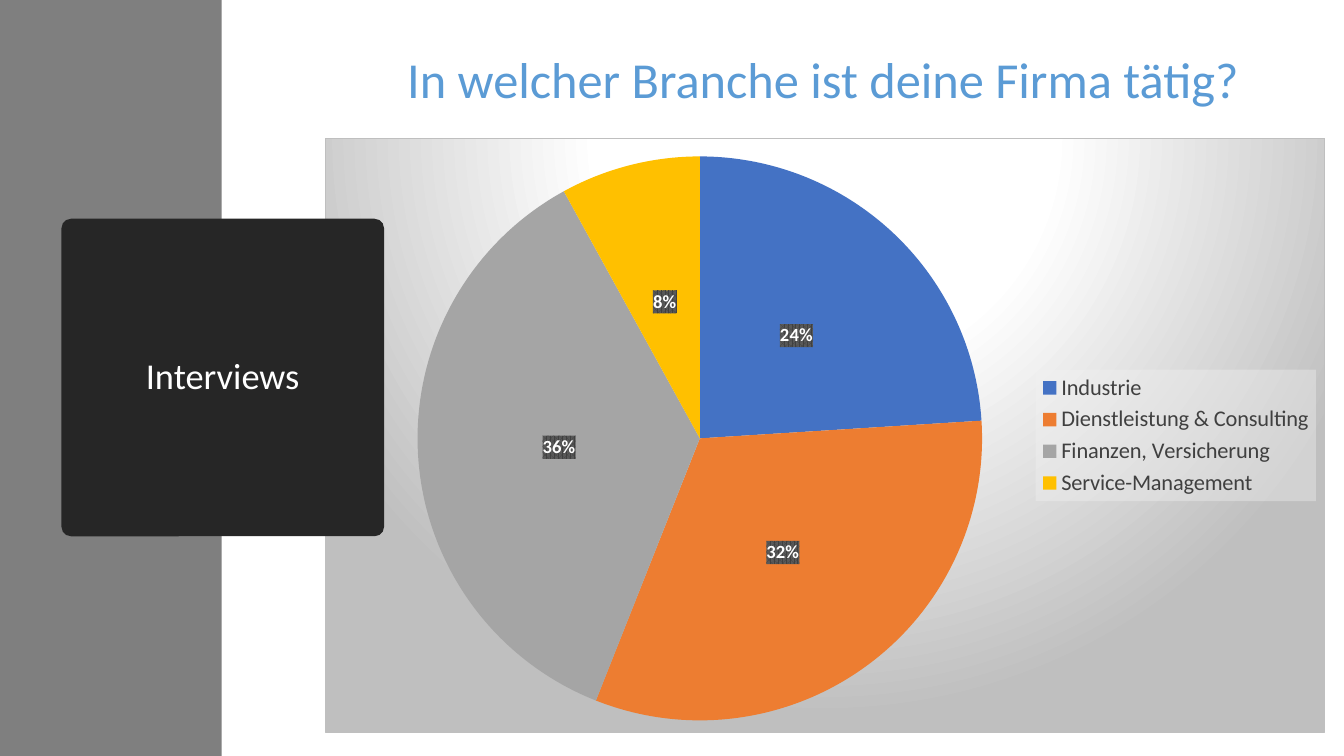
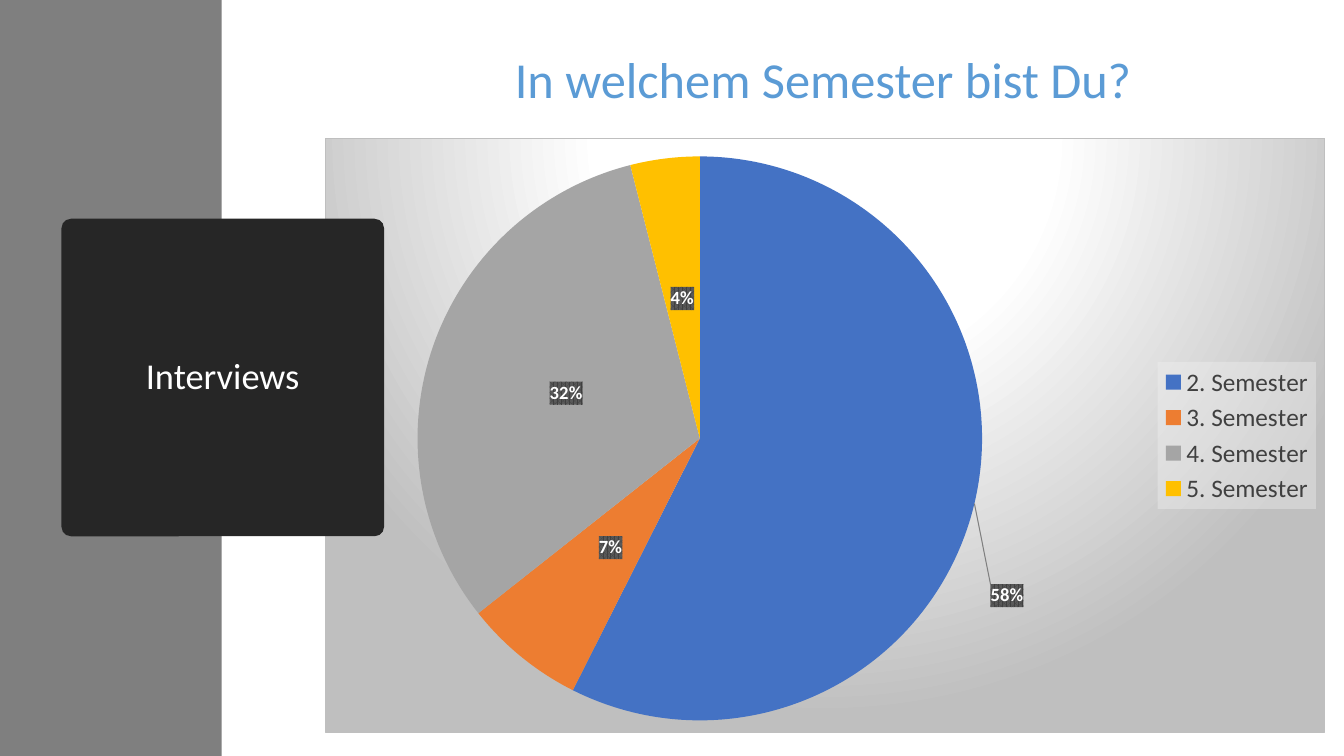
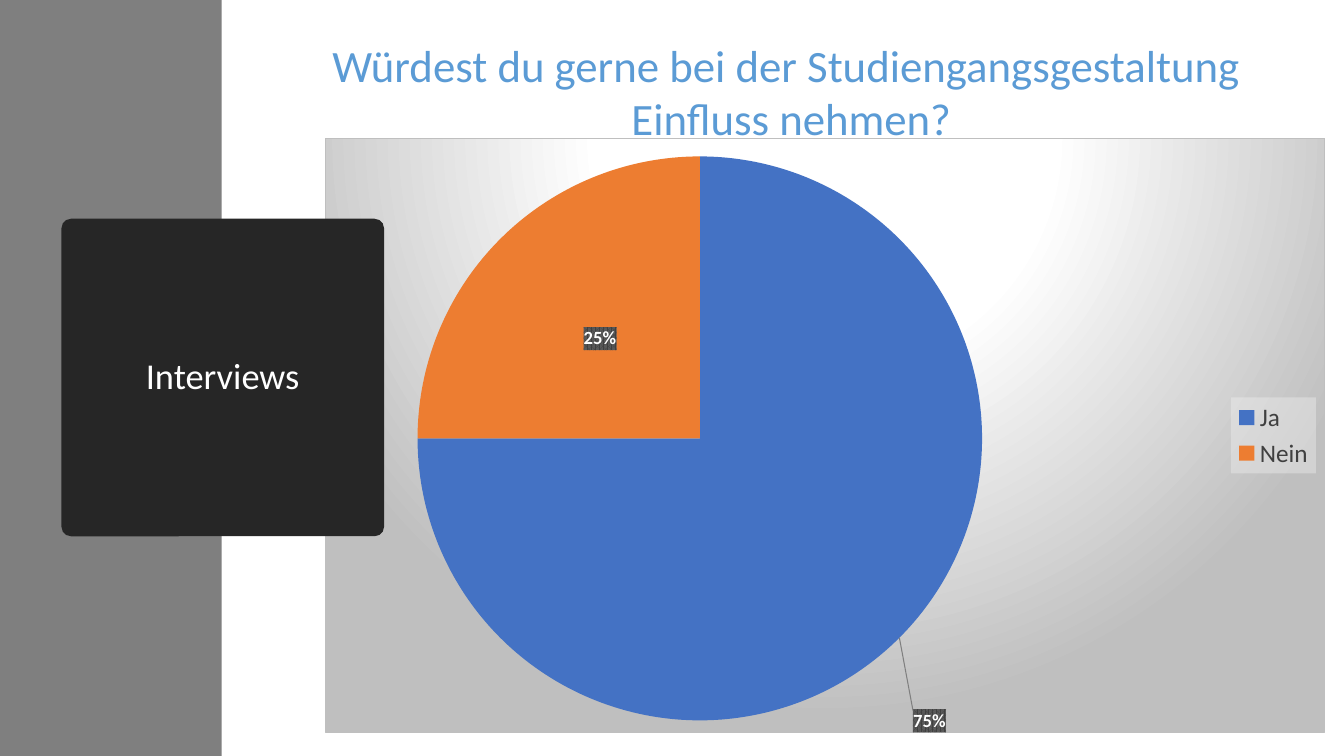
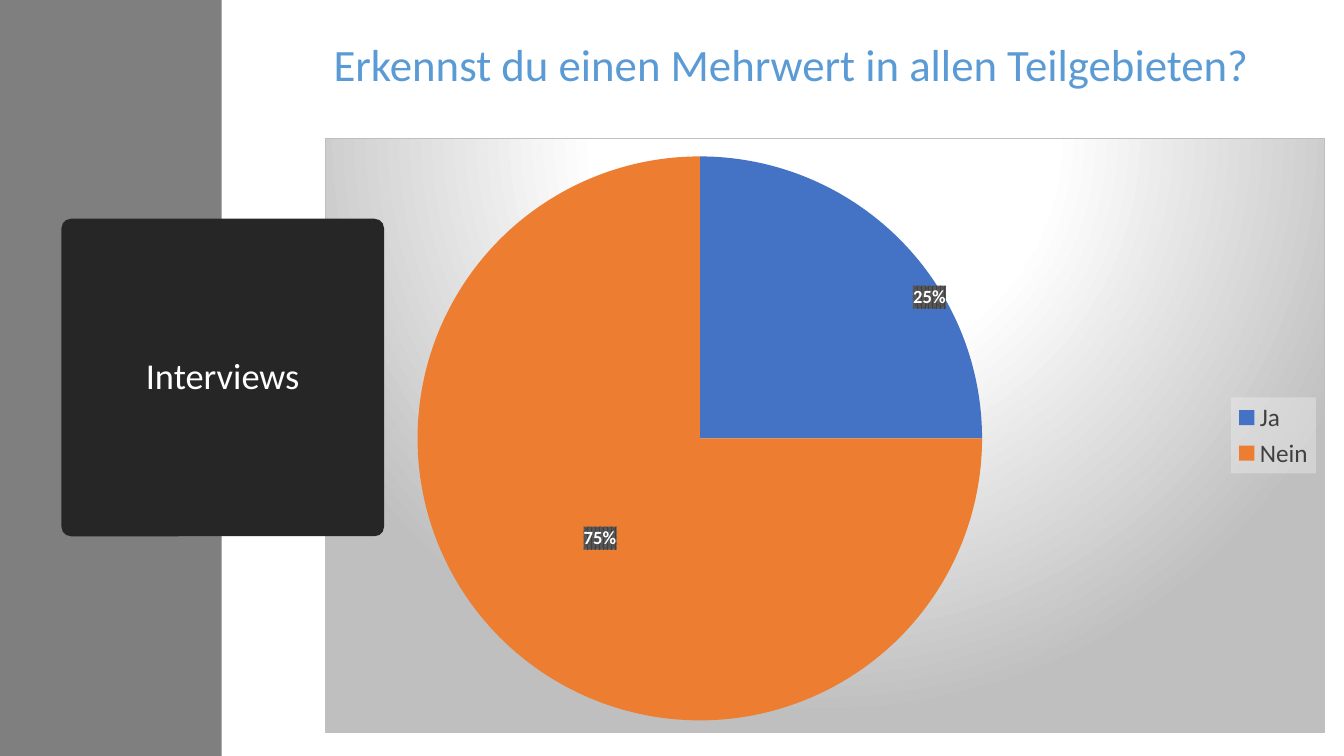
from copy import deepcopy

from pptx import Presentation
from pptx.chart.data import CategoryChartData
from pptx.dml.color import RGBColor
from pptx.enum.chart import XL_CHART_TYPE, XL_LABEL_POSITION, XL_LEGEND_POSITION
from pptx.enum.shapes import MSO_SHAPE
from pptx.enum.text import MSO_ANCHOR, PP_ALIGN
from pptx.oxml import parse_xml
from pptx.oxml.ns import nsdecls, qn
from pptx.util import Inches, Pt

PIE = XL_CHART_TYPE.PIE
LABEL_CENTER = XL_LABEL_POSITION.CENTER
LEGEND_RIGHT = XL_LEGEND_POSITION.RIGHT
RECTANGLE = MSO_SHAPE.RECTANGLE
ROUNDED = MSO_SHAPE.ROUNDED_RECTANGLE
MIDDLE = MSO_ANCHOR.MIDDLE
CENTER = PP_ALIGN.CENTER


class Theme:
    font = "Calibri"
    band = "7F7F7F"
    badge = "262626"
    white = "FFFFFF"
    title = "5B9BD5"
    text = "404040"
    chart_edge = "BFBFBF"
    legend = "F2F2F2"
    label_back = "595959"
    slices = ("4472C4", "ED7D31", "A5A5A5", "FFC000")
    badge_size = 26
    label_size = 13.3


# Content: label_shift moves the first label, in fractions of the chart
SECTION = "Interviews"
QUESTIONS = [
    {
        "title": ["In welcher Branche ist deine Firma tätig?"],
        "title_box": (3.9, 0.43, 8.53, 0.71), "title_size": 36,
        "answers": {"Industrie": 24, "Dienstleistung & Consulting": 32,
                    "Finanzen, Versicherung": 36, "Service-Management": 8},
        "legend_size": 16, "label_shift": None,
    },
    {
        "title": ["In welchem Semester bist Du?"],
        "title_box": (4.98, 0.43, 6.37, 0.71), "title_size": 36,
        "answers": {"2. Semester": 58, "3. Semester": 7,
                    "4. Semester": 32, "5. Semester": 4},
        "legend_size": 18, "label_shift": (0.17, 0.21),
    },
    {
        "title": ["Würdest du gerne bei der Studiengangsgestaltung ",
                  "Einfluss nehmen?"],
        "title_box": (2.55, 0.32, 10.6, 1.18), "title_size": 32,
        "answers": {"Ja": 75, "Nein": 25},
        "legend_size": 18, "label_shift": (0.13, 0.31),
    },
    {
        "title": ["Erkennst du einen Mehrwert in allen Teilgebieten?"],
        "title_box": (2.55, 0.32, 10.6, 0.64), "title_size": 32,
        "answers": {"Ja": 25, "Nein": 75},
        "legend_size": 18, "label_shift": (0.13, -0.07),
    },
]

# Layout: left, top, width, height
BAND_BOX = (0, 0, 2.2, 7.5)
BADGE_BOX = (0.61, 2.17, 3.2, 3.15)
CHART_BOX = (3.22, 1.37, 9.92, 5.9)
PLOT_BOX = {"x": 0, "y": 0.03, "w": 0.75, "h": 0.95}


def inches(box):
    return [Inches(value) for value in box]


def color(code):
    return RGBColor.from_string(code)


def chart_xml(tag, content):
    return parse_xml(f"<c:{tag} {nsdecls('c', 'a')}>{content}</c:{tag}>")


def solid(code, extra=""):
    return f'<a:solidFill><a:srgbClr val="{code}">{extra}</a:srgbClr></a:solidFill>'


def style_font(font, size, code, bold=False):
    font.name = Theme.font
    font.size = Pt(size)
    font.bold = bold
    font.color.rgb = color(code)


def write(text_frame, lines, size, code):
    text_frame.text = "\n".join(lines)
    for paragraph in text_frame.paragraphs:
        paragraph.alignment = CENTER
        for run in paragraph.runs:
            style_font(run.font, size, code)


def add_block(slide, kind, box, code):
    shape = slide.shapes.add_shape(kind, *inches(box))
    shape.shadow.inherit = False
    shape.fill.solid()
    shape.fill.fore_color.rgb = color(code)
    shape.line.fill.background()
    return shape


def add_title(slide, question):
    box = slide.shapes.add_textbox(*inches(question["title_box"]))
    box.text_frame.word_wrap = True
    write(box.text_frame, question["title"], question["title_size"], Theme.title)


def add_badge(slide):
    badge = add_block(slide, ROUNDED, BADGE_BOX, Theme.badge)
    badge.adjustments[0] = 0.03
    badge.text_frame.vertical_anchor = MIDDLE
    write(badge.text_frame, [SECTION], Theme.badge_size, Theme.white)
    badge.text_frame.paragraphs[0].line_spacing = 0.9


def fill_chart_area(chart):
    stops = "".join(
        f'<a:gs pos="{position}"><a:srgbClr val="{code}"/></a:gs>'
        for position, code in ((0, Theme.white), (39000, Theme.white),
                               (100000, Theme.chart_edge)))
    area = chart_xml("spPr", f"""
        <a:gradFill><a:gsLst>{stops}</a:gsLst><a:path path="circle">
        <a:fillToRect l="50000" t="-80000" r="50000" b="180000"/></a:path></a:gradFill>
        <a:ln w="9525">{solid(Theme.chart_edge)}</a:ln>""")
    chart._chartSpace.find(qn("c:txPr")).addprevious(area)


def place_plot(chart):
    plot_area = chart._chartSpace.chart.plotArea
    for layout in plot_area.findall(qn("c:layout")):
        plot_area.remove(layout)
    sides = "".join(f'<c:{side} val="{value}"/>' for side, value in PLOT_BOX.items())
    plot_area.insert(0, chart_xml("layout", f"""<c:manualLayout>
        <c:layoutTarget val="inner"/><c:xMode val="edge"/><c:yMode val="edge"/>
        {sides}</c:manualLayout>"""))


def add_legend(chart, size):
    chart.has_legend = True
    legend = chart.legend
    legend.position = LEGEND_RIGHT
    legend.include_in_layout = False
    style_font(legend.font, size, Theme.text)
    back = chart_xml("spPr", solid(Theme.legend, '<a:alpha val="39000"/>'))
    legend._element.find(qn("c:txPr")).addprevious(back)


def add_labels(series, shift):
    labels = series.data_labels
    labels.show_value = True
    labels.number_format = '0"%"'
    labels.number_format_is_linked = False
    labels.position = LABEL_CENTER
    style_font(labels.font, Theme.label_size, Theme.white, bold=True)
    element = labels._element
    element.find(qn("c:txPr")).addprevious(chart_xml("spPr", f"""
        <a:pattFill prst="pct75"><a:fgClr><a:srgbClr val="{Theme.text}"/></a:fgClr>
        <a:bgClr><a:srgbClr val="{Theme.label_back}"/></a:bgClr></a:pattFill>"""))
    if shift is None:
        return

    # The moved label shares the style of the others and gets a leader line
    shared = [deepcopy(child) for child in element
              if child.tag != qn("c:showLeaderLines")]
    moved = chart_xml("dLbl", f"""<c:idx val="0"/><c:layout><c:manualLayout>
        <c:x val="{shift[0]}"/><c:y val="{shift[1]}"/></c:manualLayout></c:layout>""")
    moved.extend(shared)
    element.insert(0, moved)
    for leader in element.findall(qn("c:showLeaderLines")):
        element.remove(leader)
    show = chart_xml("showLeaderLines", "")
    show.set("val", "1")
    element.append(show)
    element.append(chart_xml(
        "leaderLines", f'<c:spPr><a:ln w="9525">{solid(Theme.band)}</a:ln></c:spPr>'))


def add_pie(slide, question):
    data = CategoryChartData()
    data.categories = list(question["answers"])
    data.add_series("Series 1", list(question["answers"].values()))
    chart = slide.shapes.add_chart(PIE, *inches(CHART_BOX), data).chart
    chart.has_title = False
    style_font(chart.font, 10, "000000")
    fill_chart_area(chart)
    place_plot(chart)
    add_legend(chart, question["legend_size"])
    plot = chart.plots[0]
    plot.vary_by_categories = True
    series = plot.series[0]
    for index, code in zip(range(len(question["answers"])), Theme.slices):
        fill = series.points[index].format.fill
        fill.solid()
        fill.fore_color.rgb = color(code)
    add_labels(series, question["label_shift"])


def main():
    presentation = Presentation()
    presentation.slide_width = Inches(13.33)
    presentation.slide_height = Inches(7.5)
    for question in QUESTIONS:
        slide = presentation.slides.add_slide(presentation.slide_layouts[6])
        add_block(slide, RECTANGLE, BAND_BOX, Theme.band)
        add_title(slide, question)
        add_pie(slide, question)
        add_badge(slide)
    presentation.save("out.pptx")


if __name__ == "__main__":
    main()
